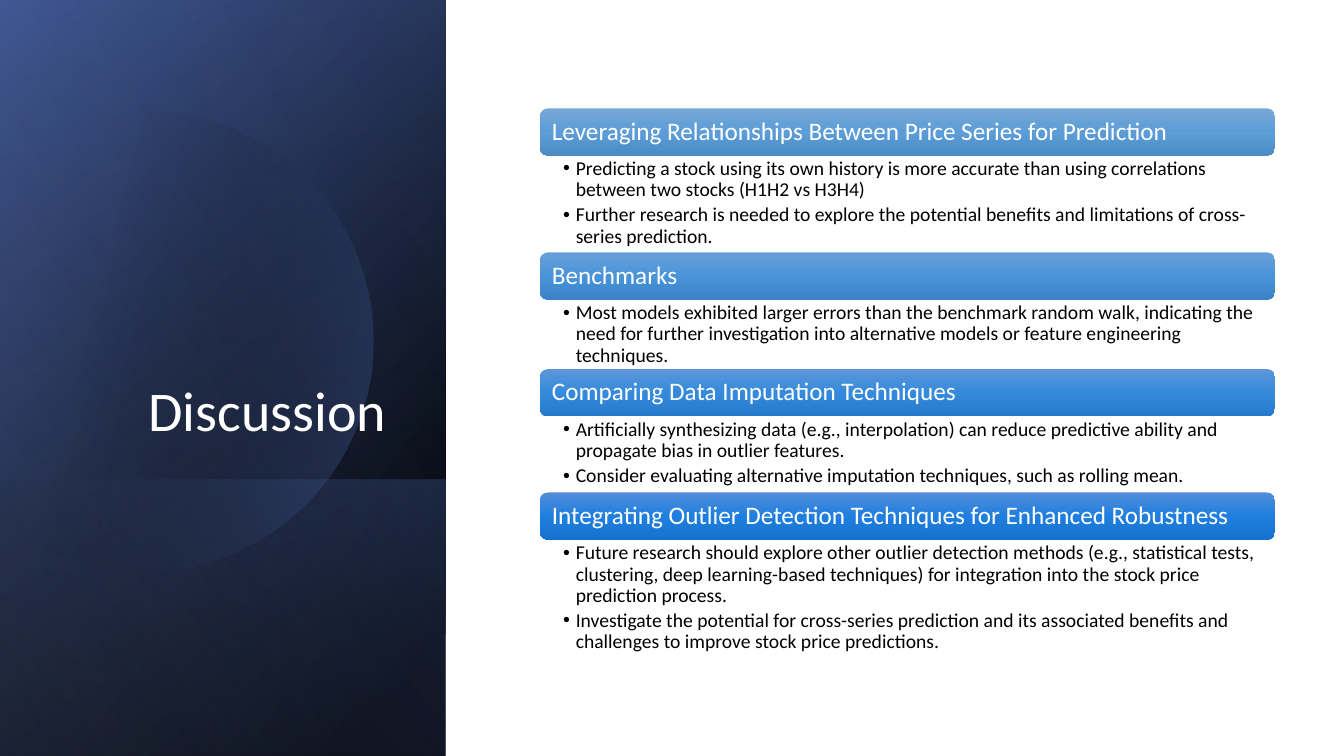
from math import cos, radians, sin

from lxml.etree import SubElement
from pptx import Presentation
from pptx.dml.color import RGBColor
from pptx.enum.shapes import MSO_SHAPE
from pptx.enum.text import MSO_ANCHOR, MSO_AUTO_SIZE, PP_ALIGN
from pptx.oxml.ns import qn
from pptx.util import Cm, Pt

PANEL_W, PANEL_H = 11.23, 19.05
LIST_LEFT, LIST_TOP, LIST_W, HEADER_H = 13.61, 2.73, 18.52, 1.19

PANELS = [
    (0, PANEL_H, [(8, "000000", 100), (100, "384C81", 100)], 50),
    (0, PANEL_H, [(0, "000000", 0), (99, "4A66AC", 46)], 30),
    (12.09, 6.96, [(2, "4A66AC", 29), (100, "000000", 30)], 130),
]
GLOW = (0, PANEL_H, [(0, "000000", 0), (99, "90A2CF", 11)], 120)

SECTIONS = [
    ("Leveraging Relationships Between Price Series for Prediction",
     ("77A8D7", "5C9DD7", "4C8CC5"), 2.44,
     ["Predicting a stock using its own history is more accurate than using correlations "
      "between two stocks (H1H2 vs H3H4)",
      "Further research is needed to explore the potential benefits and limitations of "
      "cross-series prediction."]),
    ("Benchmarks",
     ("699FD8", "4994D8", "3984C8"), 1.75,
     ["Most models exhibited larger errors than the benchmark random walk, indicating the "
      "need for further investigation into alternative models or feature engineering "
      "techniques."]),
    ("Comparing Data Imputation Techniques",
     ("5D96D9", "358ADB", "267ACB"), 1.92,
     ["Artificially synthesizing data (e.g., interpolation) can reduce predictive ability "
      "and propagate bias in outlier features.",
      "Consider evaluating alternative imputation techniques, such as rolling mean."]),
    ("Integrating Outlier Detection Techniques for Enhanced Robustness",
     ("538DDC", "207FDE", "1571CD"), 3,
     ["Future research should explore other outlier detection methods (e.g., statistical "
      "tests, clustering, deep learning-based techniques) for integration into the stock "
      "price prediction process.",
      "Investigate the potential for cross-series prediction and its associated benefits "
      "and challenges to improve stock price predictions."]),
]


def rgb(color):
    return RGBColor.from_string(color)


def paint(sp, stops, angle):
    sp.shadow.inherit = False
    sp.line.fill.background()
    sp.fill.gradient()
    sp.fill.gradient_angle = 360 - angle
    gs_list = sp._element.spPr.find(qn("a:gradFill")).find(qn("a:gsLst"))
    for gs in list(gs_list):
        gs_list.remove(gs)
    for pos, color, opacity in stops:
        gs = SubElement(gs_list, qn("a:gs"), pos=str(pos * 1000))
        clr = SubElement(gs, qn("a:srgbClr"), val=color)
        if opacity < 100:
            SubElement(clr, qn("a:alpha"), val=str(opacity * 1000))


def place(sp, left, top, width, height):
    sp.left, sp.top, sp.width, sp.height = Cm(left), Cm(top), Cm(width), Cm(height)


def set_margins(tf, left, top, right, bottom):
    tf.margin_left, tf.margin_top = Cm(left), Cm(top)
    tf.margin_right, tf.margin_bottom = Cm(right), Cm(bottom)


def format_paragraph(p, size, color, align=PP_ALIGN.LEFT, after=0):
    p.alignment = align
    p.line_spacing = 0.9
    p.space_before = Pt(0)
    p.space_after = Pt(after)
    for r in p.runs:
        r.font.name = "Calibri"
        r.font.size = Pt(size)
        r.font.bold = False
        r.font.color.rgb = rgb(color)


def add_panel(slide, top, height, stops, angle):
    left = (PANEL_W - height) / 2
    sp = slide.shapes.add_shape(MSO_SHAPE.RECTANGLE, Cm(left), Cm(top - left),
                                Cm(height), Cm(PANEL_W))
    sp.rotation = 90
    sp._element.spPr.find(qn("a:xfrm")).set("flipH", "1")
    paint(sp, stops, angle)


def add_disc(slide):
    cx, cy, radius = 3.61, 8.59, 5.81
    points = [(Cm(cx + radius * cos(radians(a))), Cm(cy + radius * sin(radians(a))))
              for a in range(-128, 129, 2)]
    builder = slide.shapes.build_freeform(*points[0])
    builder.add_line_segments(points[1:], close=True)
    paint(builder.convert_to_shape(), [(29, "000000", 0), (100, "4A66AC", 43)], 14)


def set_title(slide, text):
    title = slide.shapes.title
    slide.shapes._spTree.append(title._element)
    place(title, 1.63, 4.67, 8.66, 6.65)
    tf = title.text_frame
    tf.text = text
    tf.word_wrap = True
    tf.auto_size = MSO_AUTO_SIZE.NONE
    tf.vertical_anchor = MSO_ANCHOR.BOTTOM
    set_margins(tf, 0.25, 0.13, 0.56, 0.13)
    format_paragraph(tf.paragraphs[0], 40, "FFFFFF", PP_ALIGN.RIGHT)


def add_header(slide, top, text, colors):
    sp = slide.shapes.add_shape(MSO_SHAPE.ROUNDED_RECTANGLE, Cm(LIST_LEFT), Cm(top),
                                Cm(LIST_W), Cm(HEADER_H))
    paint(sp, [(pos, color, 100) for pos, color in zip((0, 50, 100), colors)], 90)
    tf = sp.text_frame
    tf.text = text
    tf.word_wrap = True
    tf.vertical_anchor = MSO_ANCHOR.MIDDLE
    set_margins(tf, 0.24, 0.1, 0.24, 0.1)
    format_paragraph(tf.paragraphs[0], 18, "FFFFFF")


def fill_list(body, top, height, items):
    place(body, LIST_LEFT, top, LIST_W, height)
    tf = body.text_frame
    tf.text = "\n".join(items)
    tf.word_wrap = True
    tf.auto_size = MSO_AUTO_SIZE.NONE
    tf.vertical_anchor = MSO_ANCHOR.TOP
    set_margins(tf, 0.58, 0.08, 0.36, 0.08)
    for p in tf.paragraphs:
        pPr = p._p.get_or_add_pPr()
        pPr.set("marL", str(Cm(0.32)))
        pPr.set("indent", str(Cm(-0.32)))
        SubElement(pPr, qn("a:buFont"), typeface="Arial")
        SubElement(pPr, qn("a:buChar"), char="•")
        format_paragraph(p, 14, "000000", after=2.8)


def main():
    prs = Presentation()
    prs.slide_width, prs.slide_height = Cm(33.87), Cm(19.05)
    slide = prs.slides.add_slide(prs.slide_layouts.get_by_name("Comparison"))
    for panel in PANELS:
        add_panel(slide, *panel)
    add_disc(slide)
    add_panel(slide, *GLOW)
    set_title(slide, "Discussion")
    bodies = [ph for ph in slide.placeholders if 1 <= ph.placeholder_format.idx <= 4]
    top = LIST_TOP
    for body, (heading, colors, height, items) in zip(bodies, SECTIONS):
        add_header(slide, top, heading, colors)
        fill_list(body, top + HEADER_H, height, items)
        top += HEADER_H + height
    prs.save("out.pptx")


if __name__ == "__main__":
    main()
